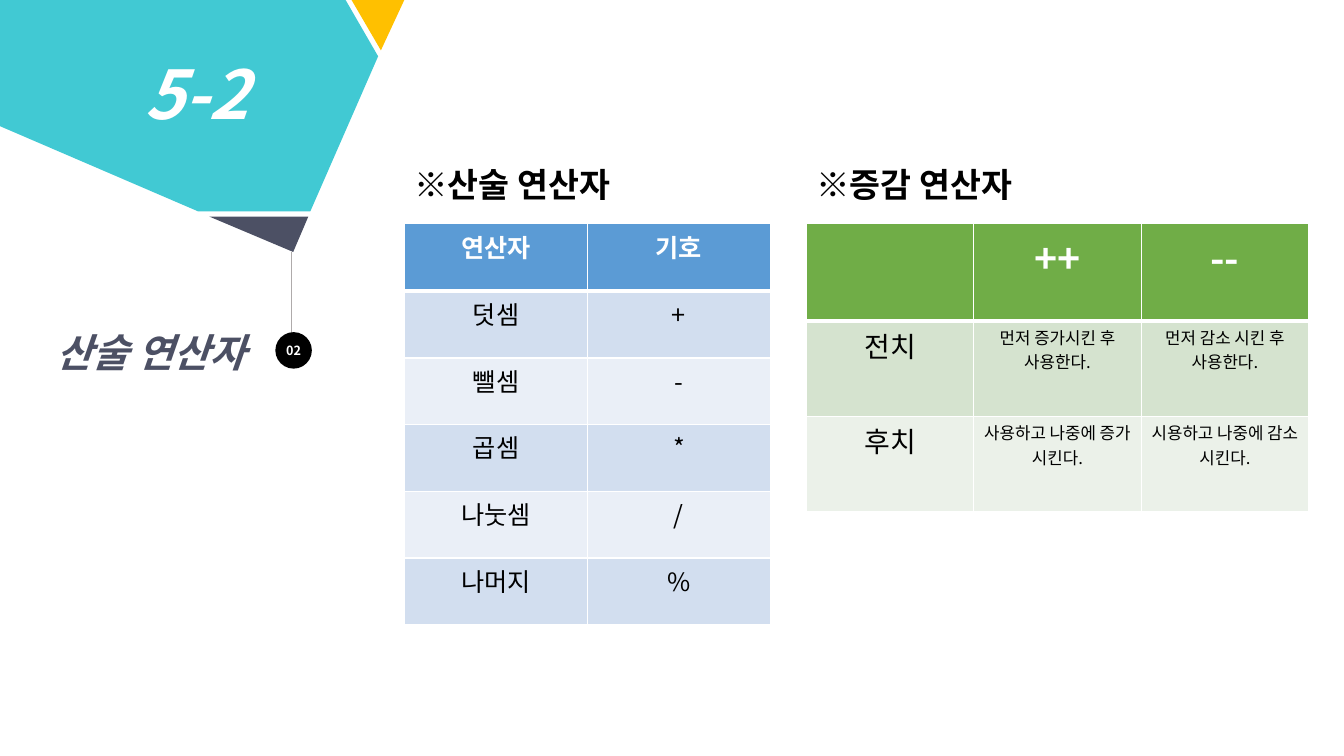
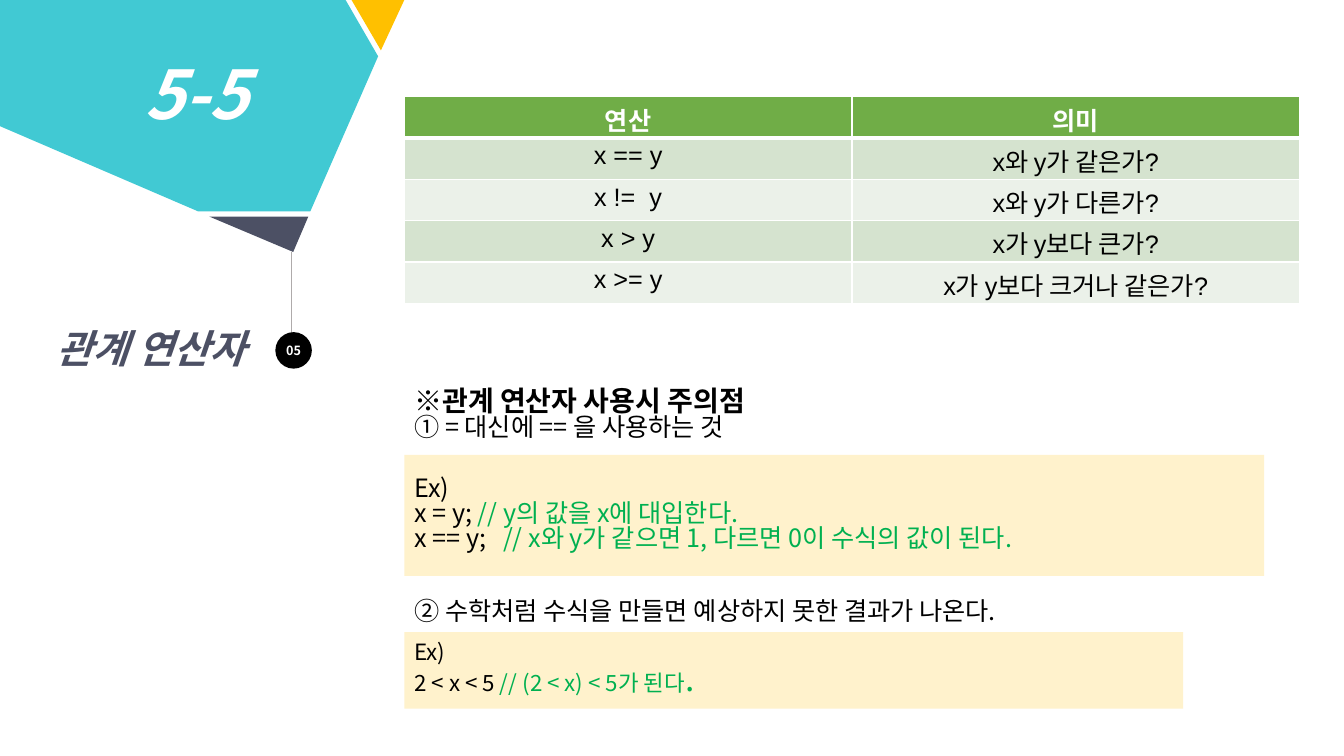
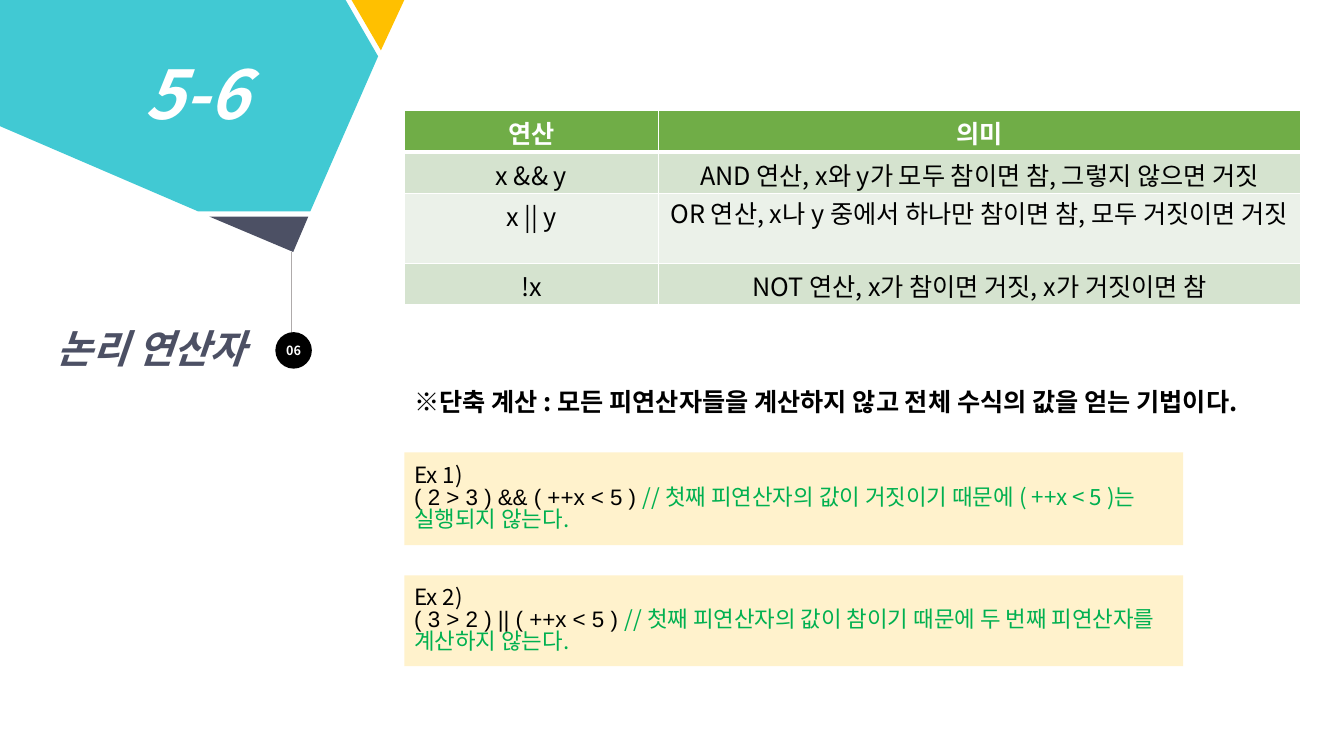
from lxml import etree
from pptx import Presentation
from pptx.dml.color import RGBColor
from pptx.enum.shapes import MSO_CONNECTOR, MSO_SHAPE
from pptx.enum.text import MSO_ANCHOR, MSO_AUTO_SIZE, PP_ALIGN
from pptx.oxml.ns import qn
from pptx.util import Cm, Pt

LEFT, CENTER, RIGHT = PP_ALIGN.LEFT, PP_ALIGN.CENTER, PP_ALIGN.RIGHT
MIDDLE = MSO_ANCHOR.MIDDLE
NO_AUTOFIT = MSO_AUTO_SIZE.NONE
OVAL, RECTANGLE = MSO_SHAPE.OVAL, MSO_SHAPE.RECTANGLE
STRAIGHT = MSO_CONNECTOR.STRAIGHT
rgb = RGBColor.from_string

KOREAN, ARIAL = "Noto Sans CJK KR", "Arial"
WHITE, BLACK = "FFFFFF", "000000"
TEAL, YELLOW, SLATE, GRAY = "41C9D3", "FFC000", "4C5064", "AFABAB"
CREAM, COMMENT_GREEN = "FFF2CC", "00B050"
BLUE_BANDS = ("5B9BD5", "D2DEEF", "EAEFF7")
GREEN_BANDS = ("70AD47", "D5E3CF", "EBF1E9")
COMMENT = {"color": COMMENT_GREEN}
CODE = {"font": ARIAL}
CONTENT_LEFT = 10.19
RIGHT_TABLE_LEFT = 20.32
TIGHT = 0.83

CORNER_PIECES = [
    (YELLOW, [(8.86, 0), (10.19, 0), (9.6, 1.27)]),
    (TEAL, [(0, 0), (8.71, 0), (9.53, 1.42), (7.82, 5.33), (5, 5.33), (0, 3.18)]),
    (SLATE, [(5.28, 5.46), (7.77, 5.46), (7.39, 6.35)]),
]


def write(frame, text, align=LEFT, spacing=None, **text_format):
    """Fill a frame with a string, or a list of lines made of (text, format) runs."""
    lines = [[(text, {})]] if isinstance(text, str) else text
    frame.word_wrap = True
    for number, line in enumerate(lines):
        paragraph = frame.add_paragraph() if number else frame.paragraphs[0]
        paragraph.alignment = align
        if spacing:
            paragraph.line_spacing = spacing
        for words, changes in line:
            look = {"size": 18, "color": BLACK, "bold": False, "italic": False,
                    "font": KOREAN, **text_format, **changes}
            run = paragraph.add_run()
            run.text = words
            run.font.size = Pt(look["size"])
            run.font.bold = look["bold"]
            run.font.italic = look["italic"]
            run.font.color.rgb = rgb(look["color"])
            run.font.name = look["font"]
            etree.SubElement(run.font._element, qn("a:ea"), typeface=KOREAN)


# Tables: left, top, column widths, row heights, band colours,
# text sizes (header, first column, others), font, rows
# Texts: left, top, width, height, fill, line spacing, size, bold, content
SLIDES = [
    {
        "number": "5-2", "badge": "02", "title": "산술 연산자", "title_top": 8.13,
        "tables": [
            (CONTENT_LEFT, 5.64, (4.62, 4.6), (1.7,) + (1.68,) * 5, BLUE_BANDS,
             (18, 18, 18), KOREAN,
             [("연산자", "기호"), ("덧셈", "+"), ("뺄셈", "-"), ("곱셈", "*"),
              ("나눗셈", "/"), ("나머지", "%")]),
            (RIGHT_TABLE_LEFT, 5.64, (4.22,) * 3, (2.44, 2.41, 2.41), GREEN_BANDS,
             (28, 20, 12), KOREAN,
             [("", "++", "--"),
              ("전치", "먼저 증가시킨 후 사용한다.", "먼저 감소 시킨 후 사용한다."),
              ("후치", "사용하고 나중에 증가 시킨다.", "시용하고 나중에 감소 시킨다.")]),
        ],
        "texts": [
            (RIGHT_TABLE_LEFT, 4.01, 7, 1.27, None, None, 24, True, "※증감 연산자"),
            (CONTENT_LEFT, 4.01, 7, 1.27, None, None, 24, True, "※산술 연산자"),
        ],
    },
    {
        "number": "5-5", "badge": "05", "title": "관계 연산자", "title_top": 8.03,
        "tables": [
            (CONTENT_LEFT, 2.44, (11.28,) * 2, (1.04,) * 5, GREEN_BANDS,
             (18, 18, 18), ARIAL,
             [("연산", "의미"), ("x == y", "x와 y가 같은가?"),
              ("x !=  y", "x와 y가 다른가?"), ("x > y", "x가 y보다 큰가?"),
              ("x >= y", "x가 y보다 크거나 같은가?")]),
        ],
        "texts": [
            (CONTENT_LEFT, 9.58, 17.58, 1.78, None, TIGHT, 18, False,
             [[("※관계 연산자 사용시 주의점", {"size": 20, "bold": True})],
              [("① = 대신에 == 을 사용하는 것", {})]]),
            (CONTENT_LEFT, 14.94, 17.58, 1.02, None, TIGHT, 18, False,
             "② 수학처럼 수식을 만들면 예상하지 못한 결과가 나온다."),
            (CONTENT_LEFT, 11.46, 21.67, 3.05, CREAM, TIGHT, 18, False,
             [[("Ex)", {})],
              [("x = y; ", {}), ("// y의 값을 x에 대입한다.", COMMENT)],
              [("x == y;   ", {}),
               ("// x와 y가 같으면 1, 다르면 0이 수식의 값이 된다.", COMMENT)]]),
            (CONTENT_LEFT, 15.93, 19.63, 1.93, CREAM, TIGHT, 16, False,
             [[("Ex)", {})],
              [("2 < x < 5 ", {}), ("// (2 < x) < 5가 된다", COMMENT),
               (".", {**COMMENT, "size": 24})]]),
        ],
    },
    {
        "number": "5-6", "badge": "06", "title": "논리 연산자", "title_top": 8.03,
        "tables": [
            (CONTENT_LEFT, 2.79, (6.4, 16.18), (1.04, 1.04, 1.77, 1.04), GREEN_BANDS,
             (18, 18, 18), KOREAN,
             [("연산", "의미"),
              ("x && y", "AND 연산, x와 y가 모두 참이면 참, 그렇지 않으면 거짓"),
              ("x || y", "OR 연산, x나 y 중에서 하나만 참이면 참, 모두 거짓이면 거짓"),
              ("!x", "NOT 연산, x가 참이면 거짓, x가 거짓이면 참")]),
        ],
        "texts": [
            (CONTENT_LEFT, 9.6, 23.4, 1.02, None, None, 18, True,
             "※단축 계산 : 모든 피연산자들을 계산하지 않고 전체 수식의 값을 얻는 기법이다."),
            (CONTENT_LEFT, 11.4, 19.63, 2.34, CREAM, TIGHT, 16, False,
             [[("Ex 1)", {})],
              [("( 2 > 3 ) && ( ++x < 5 ) ", CODE),
               ("// 첫째 피연산자의 값이 거짓이기 때문에 ( ++x < 5 )는 실행되지 않는다.",
                COMMENT)]]),
            (CONTENT_LEFT, 14.5, 19.63, 2.29, CREAM, TIGHT, 16, False,
             [[("Ex 2)", {})],
              [("( 3 > 2 ) || ( ++x < 5 ) ", CODE),
               ("// 첫째 피연산자의 값이 참이기 때문에 두 번째 피연산자를 계산하지 않는다.",
                COMMENT)]]),
        ],
    },
]

deck = Presentation()
deck.slide_width, deck.slide_height = Cm(33.87), Cm(19.05)

for content in SLIDES:
    slide = deck.slides.add_slide(deck.slide_layouts[5])
    shapes = slide.shapes

    stem = shapes.add_connector(STRAIGHT, Cm(7.34), Cm(6.35), Cm(7.34), Cm(9.22))
    stem.line.color.rgb = rgb(GRAY)
    stem.line.width = Pt(0.5)
    etree.SubElement(stem._element.spPr, qn("a:effectLst"))

    for color, corners in CORNER_PIECES:
        points = [(Cm(x), Cm(y)) for x, y in corners]
        outline = shapes.build_freeform(*points[0])
        outline.add_line_segments(points[1:])
        piece = outline.convert_to_shape()
        piece.shadow.inherit = False
        piece.fill.solid()
        piece.fill.fore_color.rgb = rgb(color)
        piece.line.fill.background()

    badge = shapes.add_shape(OVAL, Cm(6.94), Cm(8.37), Cm(0.92), Cm(0.92))
    badge.shadow.inherit = False
    badge.fill.solid()
    badge.fill.fore_color.rgb = rgb(BLACK)
    badge.line.fill.background()
    label = badge.text_frame
    label.margin_left = label.margin_right = label.margin_top = label.margin_bottom = 0
    label.vertical_anchor = MIDDLE
    write(label, content["badge"], align=CENTER, size=9, color=WHITE, bold=True)

    title = shapes.title
    title.left, title.top = Cm(0.32), Cm(content["title_top"])
    title.width, title.height = Cm(6.12), Cm(1.45)
    title.text_frame.auto_size = NO_AUTOFIT
    title.text_frame.vertical_anchor = MIDDLE
    write(title.text_frame, content["title"], align=RIGHT, size=28, color=SLATE,
          bold=True, italic=True)

    number = shapes.add_textbox(Cm(3.38), Cm(1.19), Cm(4), Cm(2.31))
    number.text_frame.vertical_anchor = MIDDLE
    write(number.text_frame, content["number"], size=48, color=WHITE, bold=True,
          italic=True)

    for left, top, widths, heights, bands, sizes, font, rows in content["tables"]:
        table = shapes.add_table(len(rows), len(widths), Cm(left), Cm(top),
                                 Cm(sum(widths)), Cm(sum(heights))).table
        table.horz_banding = False
        for column, width in zip(table.columns, widths):
            column.width = Cm(width)
        for r, row in enumerate(rows):
            table.rows[r].height = Cm(heights[r])
            for c, words in enumerate(row):
                cell = table.cell(r, c)
                cell.margin_top, cell.margin_bottom = Cm(0.1), 0
                # A thick rule parts the header from the body
                rules = {"lnL": 1, "lnR": 1, "lnT": 3 if r == 1 else 1,
                         "lnB": 3 if r == 0 else 1}
                for side, points in rules.items():
                    border = etree.SubElement(cell._tc.get_or_add_tcPr(),
                                              qn("a:" + side), w=str(Pt(points)))
                    paint = etree.SubElement(border, qn("a:solidFill"))
                    etree.SubElement(paint, qn("a:srgbClr"), val=WHITE)
                cell.fill.solid()
                cell.fill.fore_color.rgb = rgb(bands[0 if r == 0 else 2 - r % 2])
                if words:
                    two_lines = len(words) > 20 and heights[r] == 1.77
                    write(cell.text_frame, words, align=CENTER, font=font,
                          spacing=0.9 if two_lines else None,
                          size=sizes[0 if r == 0 else 1 if c == 0 else 2],
                          color=BLACK if r else WHITE, bold=r == 0)

    for left, top, width, height, fill, spacing, size, bold, words in content["texts"]:
        area = Cm(left), Cm(top), Cm(width), Cm(height)
        if fill:
            box = shapes.add_shape(RECTANGLE, *area)
            box.shadow.inherit = False
            box.fill.solid()
            box.fill.fore_color.rgb = rgb(fill)
            box.line.fill.background()
        else:
            box = shapes.add_textbox(*area)
        box.text_frame.vertical_anchor = MIDDLE
        write(box.text_frame, words, spacing=spacing, size=size, bold=bold)

deck.save("out.pptx")
